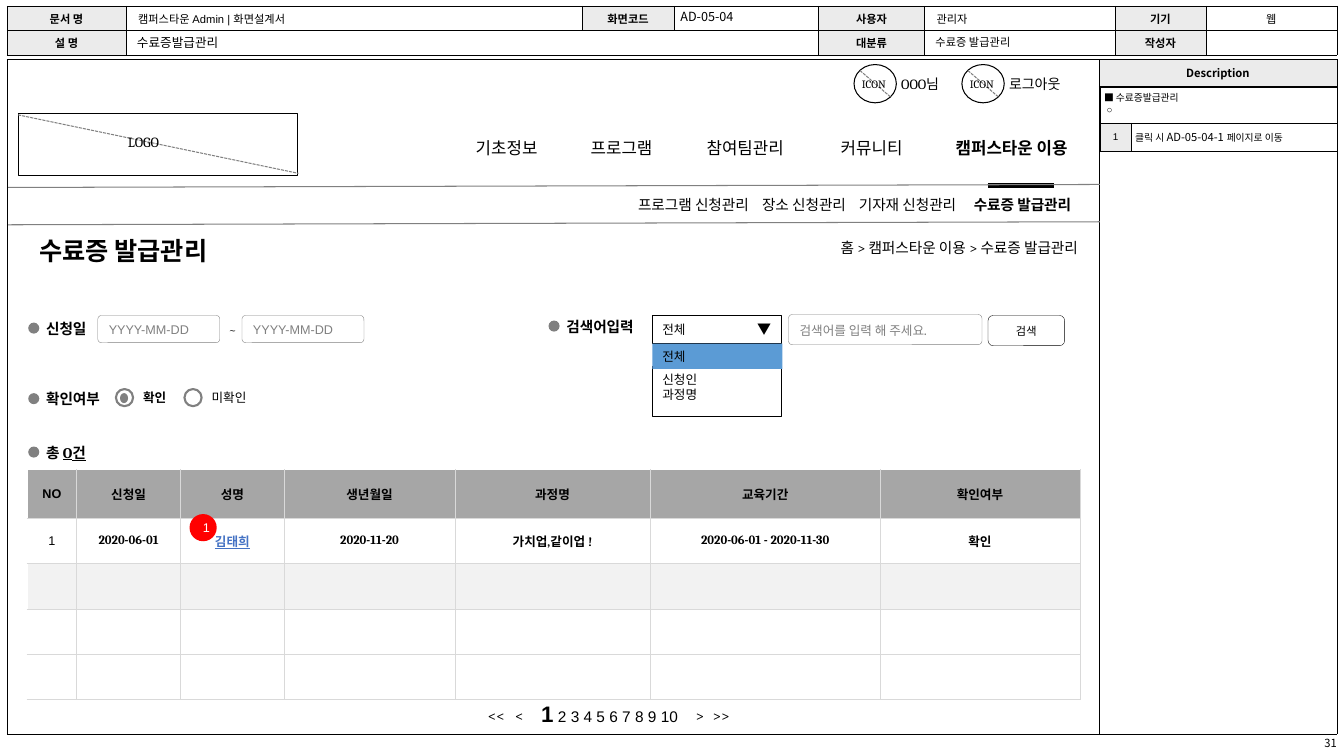
"""Build the certificate management screen specification slide."""
from dataclasses import dataclass

from lxml.etree import SubElement
from pptx import Presentation
from pptx.dml.color import RGBColor as Rgb
from pptx.enum.shapes import MSO_CONNECTOR as Connector, MSO_SHAPE as Preset
from pptx.enum.dml import MSO_LINE as Dash
from pptx.enum.text import MSO_ANCHOR as Anchor, PP_ALIGN as Align
from pptx.oxml.ns import qn
from pptx.util import Pt


@dataclass(frozen=True)
class Theme:
    black: str = "000000"
    white: str = "FFFFFF"
    gray: str = "808080"
    label: str = "EBEBEB"
    header: str = "A6A6A6"
    band: str = "F2F2F2"
    border: str = "D9D9D9"
    selected: str = "5B9BD5"
    link: str = "4472C4"
    marker: str = "FF0000"
    sans: str = "Arial"
    serif: str = "Cambria"
    korean: str = "Noto Sans CJK KR"
    tiny: float = 7
    small: float = 8
    body: float = 9
    medium: float = 10
    field: float = 10.5
    pager: float = 11
    menu: float = 12
    current: float = 16
    title: float = 18


THEME = Theme()
PX = 9144
DEFAULT_INSETS = (10, 5, 10, 5)
HEADER_INSETS = (4, 4, 4, 4)
VALUE_INSETS = (12, 1, 1, 1)


def px(*lengths):
    return [length * PX for length in lengths]


def apply_format(font, values):
    values = {"name": THEME.serif, "size": THEME.body, "bold": False, "color": THEME.black, **values}
    font.color.rgb = Rgb.from_string(values.pop("color"))
    values["size"] = Pt(values["size"])
    for name, value in values.items():
        setattr(font, name, value)


def write(frame, lines, align=Align.LEFT, **values):
    """Each line is a string or a list of (text, format) runs."""
    for index, line in enumerate([lines] if isinstance(lines, str) else lines):
        paragraph = frame.add_paragraph() if index else frame.paragraphs[0]
        paragraph.alignment = align
        for text, changes in [(line, {})] if isinstance(line, str) else line:
            run = paragraph.add_run()
            run.text = text
            apply_format(run.font, {**values, **changes})
            SubElement(run.font._element, qn("a:ea")).set("typeface", THEME.korean)


def set_frame(frame, anchor, insets):
    settings = dict(zip(("margin_left", "margin_top", "margin_right", "margin_bottom"), px(*insets)))
    settings.update(word_wrap=True, vertical_anchor=anchor)
    for name, value in settings.items():
        setattr(frame, name, value)


def add_text(slide, left, top, width, height, lines, anchor=Anchor.TOP, insets=DEFAULT_INSETS, **values):
    shape = slide.shapes.add_textbox(*px(left, top, width, height))
    set_frame(shape.text_frame, anchor, insets)
    write(shape.text_frame, lines, **values)


def add_box(slide, preset, left, top, width, height, fill=None, line=None, weight=0.75,
            corner=None, lines=(), anchor=Anchor.MIDDLE, insets=DEFAULT_INSETS, **values):
    shape = slide.shapes.add_shape(preset, *px(left, top, width, height))
    shape.shadow.inherit = False
    if corner:
        shape.adjustments[0] = corner
    for target, color in ((shape.fill, fill), (shape.line.fill, line)):
        if color:
            target.solid()
            target.fore_color.rgb = Rgb.from_string(color)
        else:
            target.background()
    if line:
        shape.line.width = Pt(weight)
    set_frame(shape.text_frame, anchor, insets)
    write(shape.text_frame, lines, **values)


def add_line(slide, start_x, start_y, end_x, end_y, color=THEME.gray, weight=0.75, dash=None):
    connector = slide.shapes.add_connector(Connector.STRAIGHT, *px(start_x, start_y, end_x, end_y))
    connector.line.color.rgb = Rgb.from_string(color)
    connector.line.width = Pt(weight)
    if dash:
        connector.line.dash_style = dash
    SubElement(connector._element.spPr, qn("a:effectLst"))


def set_borders(cell, color, sides):
    properties = cell._tc.get_or_add_tcPr()
    for side in sides:
        line = SubElement(properties, qn(f"a:ln{side}"), w=str(Pt(0.25)))
        SubElement(SubElement(line, qn("a:solidFill")), qn("a:srgbClr"), val=color)


def add_grid(slide, left, top, columns, rows, border, fill_at, open_corner=False):
    frame = slide.shapes.add_table(len(rows), len(columns), *px(left, top, sum(columns), sum(rows)))
    table = frame.table
    table.first_row = table.horz_banding = False
    for column, width in zip(table.columns, columns):
        column.width = width * PX
    for row_index, (row, height) in enumerate(zip(table.rows, rows)):
        row.height = height * PX
        for column_index, cell in enumerate(row.cells):
            sides = [side for side in "LRTB" if not open_corner
                     or not (side == "L" and column_index == 0 or side == "T" and row_index == 0)]
            set_borders(cell, border, sides)
            cell.fill.solid()
            cell.fill.fore_color.rgb = Rgb.from_string(fill_at(row_index, column_index))
            cell.text_frame.paragraphs[0]._p.get_or_add_endParaRPr().set("sz", "800")
    return table


def fill_cell(cell, lines, anchor=Anchor.MIDDLE, insets=DEFAULT_INSETS, **values):
    for side, margin in zip(("left", "top", "right", "bottom"), px(*insets)):
        setattr(cell, f"margin_{side}", margin)
    cell.vertical_anchor = anchor
    write(cell.text_frame, lines, **values)


def add_document_header(slide):
    table = add_grid(slide, 7, 6, (118, 452, 92, 143, 105, 189, 90, 130), (24, 24), THEME.black,
                     lambda row, column: THEME.white if column % 2 or (row, column) == (1, 2) else THEME.label)
    table.cell(1, 1).merge(table.cell(1, 3))
    labels = (("문서 명", "화면코드", "사용자", "기기"), ("설 명", "", "대분류", "작성자"))
    for row, names in enumerate(labels):
        for column, name in enumerate(names):
            if name:
                fill_cell(table.cell(row, column * 2), name, insets=HEADER_INSETS, align=Align.CENTER,
                          name=THEME.korean, size=THEME.small, bold=True)
    for column, value, align in ((1, "캠퍼스타운 Admin | 화면설계서", Align.LEFT),
                                 (5, "관리자", Align.LEFT), (7, "웹", Align.CENTER)):
        insets = VALUE_INSETS if align == Align.LEFT else (1, 1, 1, 1)
        fill_cell(table.cell(0, column), value, insets=insets, align=align, name=THEME.sans, size=THEME.small)


def add_description(slide):
    layout = add_grid(slide, 7, 59, (1083, 236), (26, 643), THEME.black,
                      lambda row, column: THEME.label if (row, column) == (0, 1) else THEME.white)
    layout.cell(0, 0).merge(layout.cell(1, 0))
    fill_cell(layout.cell(0, 1), "Description", insets=HEADER_INSETS, align=Align.CENTER,
              name=THEME.korean, size=THEME.small, bold=True)
    notes = add_grid(slide, 1091, 86, (31, 204), (36, 28), THEME.black,
                     lambda row, column: THEME.label if (row, column) == (1, 0) else THEME.white)
    notes.cell(0, 0).merge(notes.cell(0, 1))
    style = {"name": THEME.sans, "size": THEME.tiny}
    fill_cell(notes.cell(0, 0), ["■ 수료증발급관리", " ○"], Anchor.TOP, (4, 4, 1, 1), **style)
    fill_cell(notes.cell(1, 0), "1", insets=(1, 1, 1, 1), align=Align.CENTER, **style)
    code = {"name": THEME.korean, "size": THEME.small}
    fill_cell(notes.cell(1, 1), [[("클릭 시 ", {}), ("AD-05-04-1", code), (" 페이지로 이동", {})]],
              insets=(4, 1, 4, 1), **style)
    add_text(slide, 918, 30, 120, 24, "수료증 발급관리", name=THEME.sans, size=THEME.small)
    add_text(slide, 665, 4, 103, 25, "AD-05-04", name=THEME.korean)
    add_text(slide, 126, 30, 195, 25, "수료증발급관리", name=THEME.korean)


def add_bullet_label(slide, left, top, lines):
    add_box(slide, Preset.FLOWCHART_CONNECTOR, left, top, 11, 11, fill=THEME.gray)
    add_text(slide, left + 8, top - 8, 107, 28, lines, size=THEME.field, bold=True)


def add_radio(slide, left, text, chosen):
    add_box(slide, Preset.FLOWCHART_CONNECTOR, left, 386, 17, 17, line=THEME.gray, weight=1.5)
    if chosen:
        add_box(slide, Preset.FLOWCHART_CONNECTOR, left + 4, 390, 8, 10, fill=THEME.gray)
    add_text(slide, left + 17, 382, 71, 25, text, name=THEME.sans, bold=chosen)


def add_search_form(slide):
    field = {"fill": THEME.white, "line": THEME.gray, "weight": 0.25, "corner": 0.13, "color": THEME.gray}
    add_bullet_label(slide, 28, 320, "신청일")
    for left in (97, 240):
        add_box(slide, Preset.ROUNDED_RECTANGLE, left, 313, 121, 27, lines="YYYY-MM-DD", name=THEME.sans, **field)
    add_text(slide, 217, 316, 29, 21, "~", size=THEME.small)
    add_bullet_label(slide, 28, 390, "확인여부")
    add_radio(slide, 115, "확인", True)
    add_radio(slide, 183, "미확인", False)
    add_box(slide, Preset.ROUNDED_RECTANGLE, 782, 312, 192, 30,
            lines=[[("검색어를 입력 해 주세요", {}), (".", {"size": THEME.field})]], **field)
    add_box(slide, Preset.ROUNDED_RECTANGLE, 980, 313, 76, 30, line=THEME.black, weight=0.25, lines="검색",
            insets=HEADER_INSETS, align=Align.CENTER, name=THEME.sans, size=THEME.small)
    add_box(slide, Preset.RECTANGLE, 647, 313, 128, 28, line=THEME.black, lines="전체")
    add_text(slide, 743, 318, 28, 17, "▼", Anchor.MIDDLE, (8, 0, 4, 0), name=THEME.korean, size=THEME.medium)
    add_box(slide, Preset.RECTANGLE, 647, 364, 128, 49, line=THEME.black, lines=["신청인", "과정명"],
            anchor=Anchor.TOP)
    add_box(slide, Preset.RECTANGLE, 647, 341, 129, 25, fill=THEME.selected, lines="전체", anchor=Anchor.TOP)
    add_bullet_label(slide, 544, 318, "검색어입력")


def add_results(slide):
    row_fills = (THEME.header, THEME.white, THEME.band, THEME.white, THEME.white)
    table = add_grid(slide, 27, 466, (49, 103, 103, 169, 194, 228, 198), (48, 45, 45, 45, 45), THEME.border,
                     lambda row, column: row_fills[row], open_corner=True)
    rows = (("NO", "신청일", "성명", "생년월일", "과정명", "교육기간", "확인여부"),
            ("1", "2020-06-01", "김태희", "2020-11-20", "가치업,같이업 !", "2020-06-01 - 2020-11-30", "확인"))
    special = {(0, 0): {"name": THEME.sans}, (1, 0): {"name": THEME.sans, "bold": False},
               (1, 2): {"name": THEME.sans, "color": THEME.link, "underline": True}}
    for row, texts in enumerate(rows):
        for column, text in enumerate(texts):
            style = {"bold": True, **special.get((row, column), {})}
            fill_cell(table.cell(row, column), text, align=Align.CENTER, **style)
    add_bullet_label(slide, 28, 443, [[("총 ", {}), ("O건", {"underline": True})]])
    add_box(slide, Preset.OVAL, 188, 510, 27, 27, fill=THEME.marker, lines="1", align=Align.CENTER,
            name=THEME.sans, color=THEME.white)


def add_pager(slide):
    for left, text in ((474, "<<"), (501, "<"), (680, ">"), (697, ">>")):
        add_text(slide, left, 696, 45, 27, text, size=THEME.pager)
    pages = [("1", {"size": THEME.current, "bold": True}), (" 2 3 4 5 6 7 8 9 10", {})]
    add_text(slide, 527, 690, 170, 37, [pages], name=THEME.sans, size=THEME.pager)


def add_icon(slide, left, text):
    add_box(slide, Preset.OVAL, left, 64, 42, 38, line=THEME.black)
    add_line(slide, left + 6, 70, left + 36, 96, dash=Dash.SQUARE_DOT)
    add_text(slide, left - 2, 72, 47, 24, "ICON", size=THEME.small)
    add_text(slide, left + 37, 70, 76, 27, text, size=THEME.medium)


def add_navigation(slide):
    add_box(slide, Preset.RECTANGLE, 18, 113, 277, 61, line=THEME.black)
    add_line(slide, 18, 114, 296, 172, dash=Dash.SQUARE_DOT)
    add_text(slide, 117, 128, 63, 27, "LOGO", size=THEME.medium)
    add_line(slide, 980, 184, 1045, 184, THEME.black, 3)
    menus = ((132, 30, THEME.menu, ((462, "기초정보"), (576, "프로그램"), (691, "참여팀관리"),
                                    (824, "커뮤니티"), (938, "캠퍼스타운 이용"))),
             (189, 28, THEME.field, ((623, "프로그램 신청관리"), (746, "장소 신청관리"),
                                     (842, "기자재 신청관리"), (956, "수료증 발급관리"))))
    for top, height, size, items in menus:
        for left, text in items:
            add_text(slide, left, top, 142, height, text, size=size, bold=text == items[-1][1])
    for top in (186, 223):
        add_line(slide, 8, top, 1091, top - 3)
    add_icon(slide, 847, "OOO님")
    add_icon(slide, 954, "로그아웃")
    add_text(slide, 29, 229, 280, 40, "수료증 발급관리", size=THEME.title, bold=True)
    add_text(slide, 779, 232, 300, 28, "홈 > 캠퍼스타운 이용 > 수료증 발급관리", align=Align.RIGHT, size=THEME.field)


def main():
    presentation = Presentation()
    presentation.slide_width, presentation.slide_height = px(1333, 750)
    slide = presentation.slides.add_slide(presentation.slide_layouts[6])
    add_document_header(slide)
    add_description(slide)
    add_search_form(slide)
    add_results(slide)
    add_navigation(slide)
    add_pager(slide)
    add_text(slide, 1090, 726, 236, 24, "31", insets=(10, 5, 0, 5), align=Align.RIGHT,
             name=THEME.korean, size=THEME.small)
    presentation.save("out.pptx")


if __name__ == "__main__":
    main()
